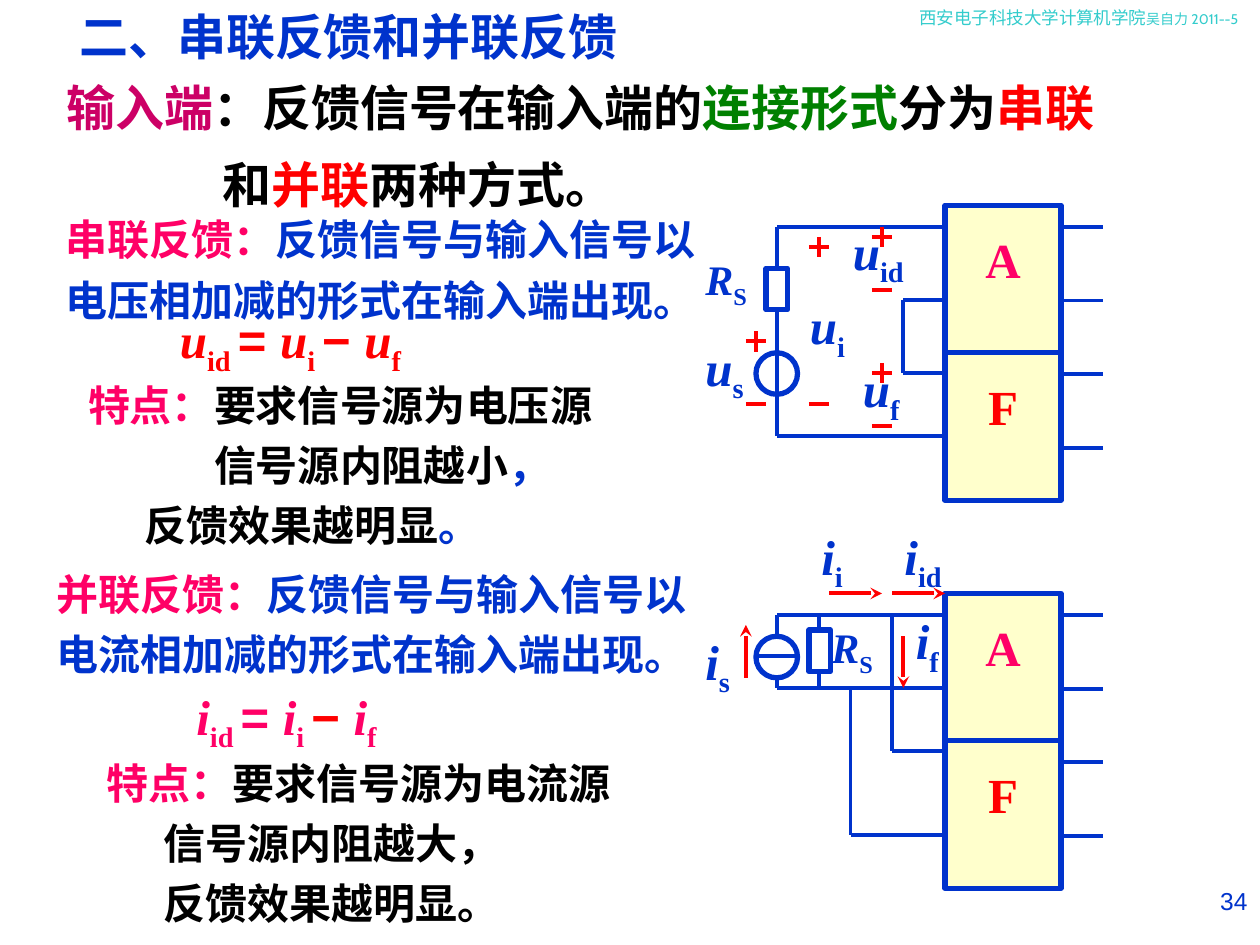
from lxml import etree
from pptx import Presentation
from pptx import util as u
from pptx.dml.color import RGBColor
from pptx.enum import shapes, text
from pptx.oxml.ns import qn

BLUE = RGBColor(0x00, 0x33, 0xCC)
PINK = RGBColor(0xFF, 0x00, 0x66)
PLUM = RGBColor(0xCC, 0x00, 0x66)
RED = RGBColor(0xFF, 0x00, 0x00)
GREEN = RGBColor(0x00, 0x80, 0x00)
TEAL = RGBColor(0x33, 0xCC, 0xCC)
BLACK = RGBColor(0x00, 0x00, 0x00)
CREAM = RGBColor(0xFF, 0xFF, 0xCC)
WHITE = RGBColor(0xFF, 0xFF, 0xFF)

CJK, SERIF, SANS = "Noto Sans CJK SC", "Times New Roman", "Arial"
BLOCK_X, BLOCK_W, BLOCK_H = 7.5, 0.92, 1.17


class SlideWriter:
    def __init__(self, prs):
        self.s = prs.slides.add_slide(prs.slide_layouts[5])

    def frame(self, sp, top=0.05):
        tf = sp.text_frame
        tf.word_wrap = True
        tf.auto_size = text.MSO_AUTO_SIZE.NONE
        tf.vertical_anchor = text.MSO_ANCHOR.TOP
        tf.margin_left = tf.margin_right = u.Inches(0.1)
        tf.margin_top, tf.margin_bottom = u.Inches(top), u.Inches(0.05)
        return tf

    def textbox(self, x, y, w, h):
        sp = self.s.shapes.add_textbox(u.Inches(x), u.Inches(y), u.Inches(w), u.Inches(h))
        return self.frame(sp)

    def run(self, p, words, size, color, font=CJK, bold=True, italic=False, sub=False):
        r = p.add_run()
        r.text = words
        r.font.size = u.Pt(size)
        r.font.name = font
        r.font.bold = bold
        r.font.italic = italic
        r.font.color.rgb = color
        rPr = r.font._element
        if sub:
            rPr.set("baseline", "-25000")
        if font not in (SERIF, SANS):
            rPr.set("lang", "zh-CN")
            etree.SubElement(rPr, qn("a:ea")).set("typeface", CJK)

    def title(self, words, x, y, w, h):
        sp = self.s.shapes.title
        sp.left, sp.top, sp.width, sp.height = (u.Inches(v) for v in (x, y, w, h))
        p = self.frame(sp).paragraphs[0]
        p.alignment = text.PP_ALIGN.LEFT
        p.line_spacing = u.Pt(33.6)
        self.run(p, words, 28, BLUE)

    def passage(self, x, y, w, h, lines, size=24, leading=34.5, gap=0):
        tf = self.textbox(x, y, w, h)
        for i, (indent, runs) in enumerate(lines):
            p = tf.add_paragraph() if i else tf.paragraphs[0]
            p.alignment = text.PP_ALIGN.JUSTIFY
            p.line_spacing = u.Pt(leading)
            if i and gap:
                p.space_before = u.Pt(gap)
            if indent:
                p._p.get_or_add_pPr().set("marL", str(u.Inches(indent)))
            for words, color in runs:
                self.run(p, words, size, color)

    def symbol(self, x, y, w, h, base, sub, size=28):
        p = self.textbox(x, y, w, h).paragraphs[0]
        self.run(p, base, size, BLUE, SERIF, italic=True)
        self.run(p, sub, size, BLUE, SERIF, sub=True)

    def formula(self, x, y, w, h, base, color):
        p = self.textbox(x, y, w, h).paragraphs[0]
        for sub, sign in (("id ", "= "), ("i ", "− "), ("f", "")):
            self.run(p, base, 28, color, SERIF, italic=True)
            self.run(p, sub, 28, color, SERIF, sub=True)
            if sign:
                self.run(p, sign, 28, RED if sign == "− " else color, SANS)

    def shape(self, kind, x, y, w, h, fill=None):
        sp = self.s.shapes.add_shape(kind, u.Inches(x), u.Inches(y), u.Inches(w), u.Inches(h))
        sp.shadow.inherit = False
        if fill is None:
            sp.fill.background()
        else:
            sp.fill.solid()
            sp.fill.fore_color.rgb = fill
        sp.line.color.rgb = BLUE
        sp.line.width = u.Pt(3)
        return sp

    def line(self, x1, y1, x2, y2, color=BLUE, arrow=False):
        c = self.s.shapes.add_connector(
            shapes.MSO_CONNECTOR.STRAIGHT,
            u.Inches(x1), u.Inches(y1), u.Inches(x2), u.Inches(y2))
        c.line.color.rgb = color
        c.line.width = u.Pt(2.25)
        if arrow:
            etree.SubElement(c.line._get_or_add_ln(), qn("a:tailEnd")).set("type", "stealth")
        etree.SubElement(c._element.spPr, qn("a:effectLst"))

    def sign(self, x, y, plus):
        self.line(x - 0.08, y, x + 0.08, y, RED)
        if plus:
            self.line(x, y - 0.08, x, y + 0.08, RED)

    def two_port(self, top):
        for i, (name, color) in enumerate((("A", PINK), ("F", RED))):
            sp = self.shape(shapes.MSO_SHAPE.RECTANGLE, BLOCK_X, top + i * BLOCK_H,
                            BLOCK_W, BLOCK_H, CREAM)
            p = self.frame(sp, 0.19).paragraphs[0]
            p.alignment = text.PP_ALIGN.CENTER
            self.run(p, name, 28, color, SERIF)
        right = BLOCK_X + BLOCK_W
        for i in range(4):
            y = top + 0.17 + i * BLOCK_H / 2
            self.line(right, y, right + 0.33, y)


def series_circuit(w):
    w.symbol(5.5, 1.96, 0.92, 0.56, "R", "S", 24)
    w.two_port(1.63)
    for ends in ((7.5, 2.38, 7.17, 2.38), (7.5, 2.96, 7.17, 2.96), (7.17, 2.38, 7.17, 2.96),
                 (6.17, 1.8, 7.5, 1.8), (6.17, 3.46, 7.5, 3.46), (6.17, 1.8, 6.17, 3.46)):
        w.line(*ends)
    w.shape(shapes.MSO_SHAPE.RECTANGLE, 6.08, 2.13, 0.17, 0.33, WHITE)
    w.shape(shapes.MSO_SHAPE.OVAL, 6, 2.8, 0.33, 0.33)
    for x, plus_y, minus_y in ((7, 1.88, 2.3), (6, 2.71, 3.21), (7, 2.96, 3.38), (6.5, 1.96, 3.21)):
        w.sign(x, plus_y, True)
        w.sign(x, minus_y, False)
    for x, y, width, sub in ((6.33, 2.3, 0.58, "i"), (6.67, 1.71, 0.75, "id"),
                             (6.75, 2.8, 0.58, "f"), (5.5, 2.63, 0.58, "s")):
        w.symbol(x, y, width, 0.63, "u", sub)


def parallel_circuit(w):
    w.two_port(4.71)
    for ends in ((7.5, 5.96, 7.08, 5.96), (7.08, 4.88, 7.08, 5.96), (6.17, 4.88, 7.5, 4.88),
                 (6.17, 5.46, 7.5, 5.46), (6.17, 4.88, 6.17, 5.46), (6.5, 4.88, 6.5, 5.46),
                 (7.5, 6.63, 6.75, 6.63), (6.75, 5.46, 6.75, 6.63)):
        w.line(*ends)
    w.shape(shapes.MSO_SHAPE.OVAL, 6, 5.05, 0.33, 0.33, WHITE)
    w.line(6, 5.21, 6.33, 5.21)
    w.shape(shapes.MSO_SHAPE.RECTANGLE, 6.42, 5, 0.17, 0.33, WHITE)
    for ends in ((6.58, 4.71, 7, 4.71), (7.08, 4.71, 7.5, 4.71),
                 (5.92, 5.38, 5.92, 4.96), (7.17, 5.05, 7.17, 5.46)):
        w.line(*ends, RED, True)
    for x, y, sub in ((6.42, 4.13, "i"), (7.17, 4.8, "f"), (5.5, 4.96, "s"), (7.08, 4.13, "id")):
        w.symbol(x, y, 0.58, 0.63, "i", sub)
    w.symbol(6.5, 4.88, 0.67, 0.56, "R", "S", 24)


def main():
    prs = Presentation()
    prs.slide_width, prs.slide_height = u.Inches(10), u.Inches(7.5)
    w = SlideWriter(prs)

    p = w.textbox(7.2, 0, 2.8, 0.4).paragraphs[0]
    p.line_spacing = u.Pt(12.5)
    w.run(p, "西安电子科技大学计算机学院", 10, TEAL, "Cabin", False)
    w.run(p, "吴自力 2011--5", 8, TEAL, "Cabin", False)

    w.title("二、串联反馈和并联反馈", 0.53, 0, 4.7, 0.57)
    for x, y, name, quantity in ((0.42, 1.57, "串联", "电压"), (0.35, 4.38, "并联", "电流")):
        w.passage(x, y, 5.33, 1.06, [
            (0, [(name + "反馈：", PINK), ("反馈信号与输入信号以", BLUE)]),
            (0, [(quantity + "相加减的形式在输入端出现。", BLUE)])])
    w.formula(1.33, 2.41, 2.67, 0.63, "u", RED)
    w.formula(1.46, 5.4, 2.58, 0.63, "i", PINK)
    for x, y, width, source, size, indent, mark in (
            (0.6, 2.88, 4.25, "电压源", "小", 1, BLUE),
            (0.75, 5.88, 4.88, "电流源", "大", 0.45, BLACK)):
        w.passage(x, y, width, 1.54, [
            (0, [("特点：", PINK), ("要求信号源为" + source, BLACK)]),
            (indent, [("信号源内阻越" + size, BLACK), ("，", mark)]),
            (0.45, [("反馈效果越明显", BLACK), ("。", mark)])])

    parallel_circuit(w)
    series_circuit(w)

    w.passage(0.43, 0.52, 8.9, 1.23, [
        (0, [("输入端", PLUM), ("：反馈信号在输入端的", BLACK), ("连接形式", GREEN),
             ("分为", BLACK), ("串联", RED)]),
        (1.24, [("和", BLACK), ("并联", RED), ("两种方式。", BLACK)])], 28, 37, 7)

    p = w.textbox(7.5, 6.98, 2.5, 0.52).paragraphs[0]
    p.alignment = text.PP_ALIGN.RIGHT
    w.run(p, "34", 14, BLUE, SANS, False)
    prs.save("out.pptx")


if __name__ == "__main__":
    main()
